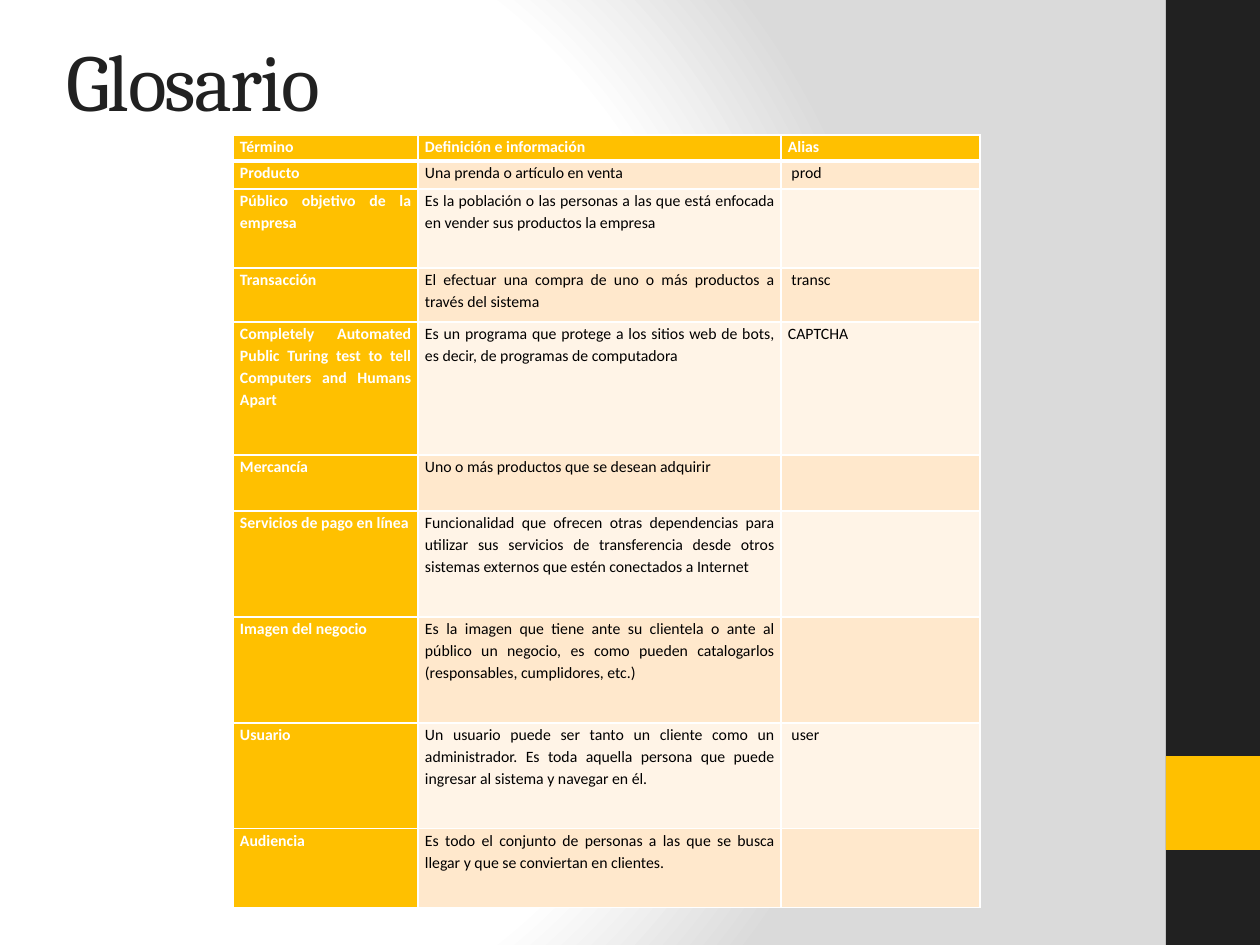
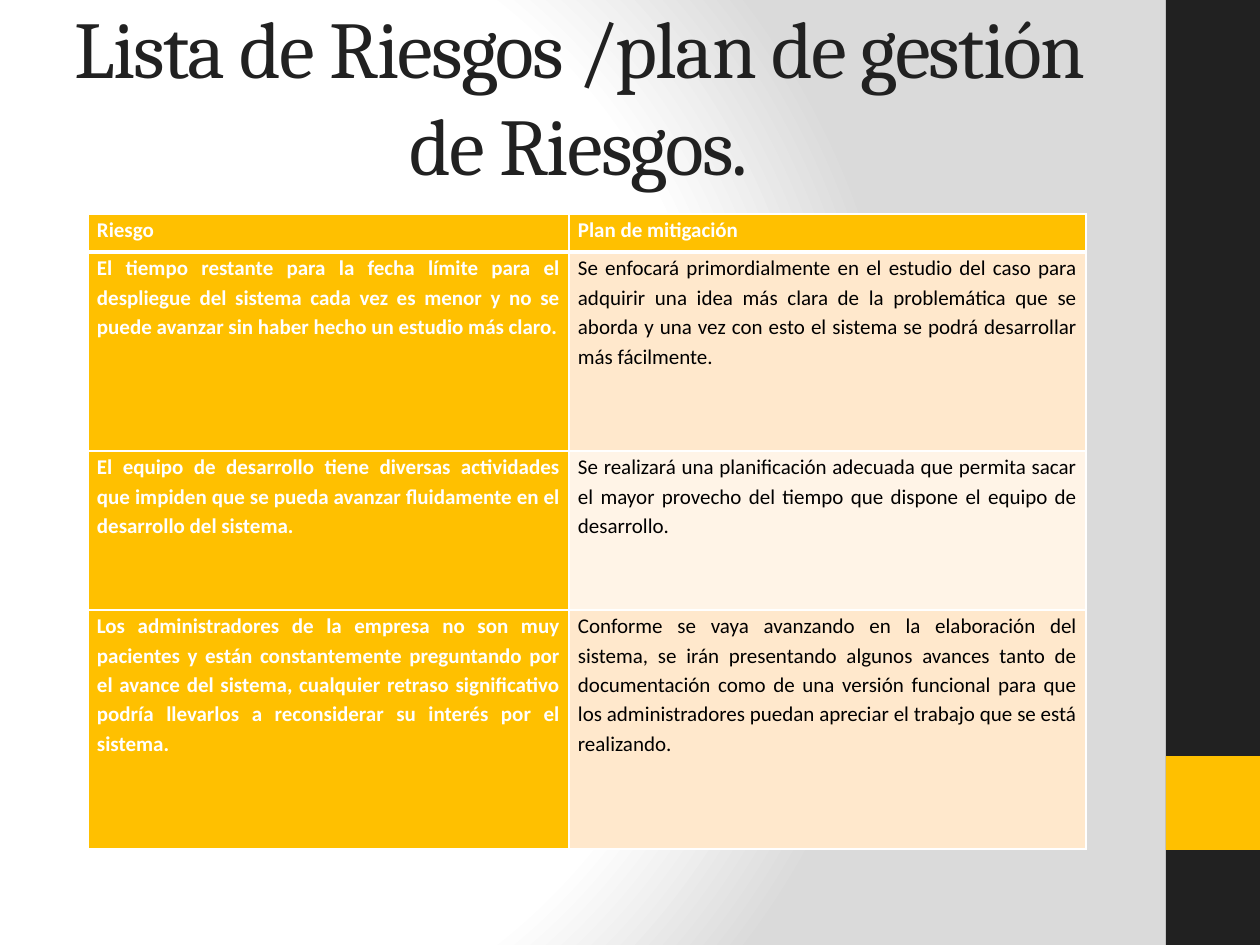
from dataclasses import dataclass

from lxml import etree
from pptx import Presentation
from pptx.dml.color import RGBColor
from pptx.enum.shapes import MSO_SHAPE
from pptx.enum.text import MSO_ANCHOR, PP_ALIGN
from pptx.oxml import parse_xml
from pptx.oxml.ns import nsdecls, qn
from pptx.slide import Slide
from pptx.util import Emu, Pt

RECT = MSO_SHAPE.RECTANGLE
MIDDLE = MSO_ANCHOR.MIDDLE
LEFT, CENTER, JUSTIFY = PP_ALIGN.LEFT, PP_ALIGN.CENTER, PP_ALIGN.JUSTIFY

SCALE = 914400 / 126
WIDE, HIGH = 1260, 945
COLORS = {
    "white": "FFFFFF", "black": "000000", "dark": "212121", "gold": "FFC000",
    "odd": "FFE8CC", "even": "FFF4E7", "mist": "DADADA",
}


@dataclass
class Band:
    top: int
    high: int
    color: str


@dataclass
class Grid:
    left: int
    top: int
    cols: list[int]
    rows: list[int]
    size: int
    inset: int
    cells: list[tuple[str, ...]]


@dataclass
class Page:
    title: str
    top: int
    align: PP_ALIGN
    grid: Grid


BANDS = [Band(0, HIGH, "dark"), Band(756, 94, "gold")]

PAGES = [
    Page("Glosario", 0, LEFT, Grid(
        233, 135, [185, 363, 199],
        [26, 28, 79, 54, 133, 56, 106, 106, 106, 79], 9, 7, [
            ("Término", "Definición e información", "Alias"),
            ("Producto", "Una prenda o artículo en venta", "\u00a0prod"),
            ("Público objetivo de la empresa",
             "Es la población o las personas a las que está enfocada en "
             "vender sus productos la empresa", ""),
            ("Transacción",
             "El efectuar una compra de uno o más productos a través del "
             "sistema", "\u00a0transc"),
            ("Completely Automated Public Turing test to tell Computers and "
             "Humans Apart",
             "Es un programa que protege a los sitios web de bots, es decir, "
             "de programas de computadora", "CAPTCHA"),
            ("Mercancía", "Uno o más productos que se desean adquirir", ""),
            ("Servicios de pago en línea",
             "Funcionalidad que ofrecen otras dependencias para utilizar sus "
             "servicios de transferencia desde otros sistemas externos que "
             "estén conectados a Internet", ""),
            ("Imagen del negocio",
             "Es la imagen que tiene ante su clientela o ante al público un "
             "negocio, es como pueden catalogarlos (responsables, "
             "cumplidores, etc.)", ""),
            ("Usuario",
             "Un usuario puede ser tanto un cliente como un administrador. "
             "Es toda aquella persona que puede ingresar al sistema y "
             "navegar en él.", "\u00a0user"),
            ("Audiencia",
             "Es todo el conjunto de personas a las que se busca llegar y "
             "que se conviertan en clientes.", ""),
        ])),
    Page("Lista de Riesgos /plan de gestión de Riesgos.", 16, CENTER, Grid(
        88, 214, [481, 517], [38, 199, 159, 239], 12, 9, [
            ("Riesgo", "Plan de mitigación"),
            ("El tiempo restante para la fecha límite para el despliegue del "
             "sistema cada vez es menor y no se puede avanzar sin haber "
             "hecho un estudio más claro.",
             "Se enfocará primordialmente en el estudio del caso para "
             "adquirir una idea más clara de la problemática que se aborda y "
             "una vez con esto el sistema se podrá desarrollar más "
             "fácilmente."),
            ("El equipo de desarrollo tiene diversas actividades que impiden "
             "que se pueda avanzar fluidamente en el desarrollo del sistema.",
             "Se realizará una planificación adecuada que permita sacar el "
             "mayor provecho del tiempo que dispone el equipo de "
             "desarrollo."),
            ("Los administradores de la empresa no son muy pacientes y están "
             "constantemente preguntando por el avance del sistema, "
             "cualquier retraso significativo podría llevarlos a "
             "reconsiderar su interés por el sistema.",
             "Conforme se vaya avanzando en la elaboración del sistema, se "
             "irán presentando algunos avances tanto de documentación como "
             "de una versión funcional para que los administradores puedan "
             "apreciar el trabajo que se está realizando."),
        ])),
]


def px(length: int) -> Emu:
    return Emu(round(length * SCALE))


def rgb(name: str) -> RGBColor:
    return RGBColor.from_string(COLORS[name])


def write(frame, text: str, *, font: str, size: int, color: str,
          bold: bool = False, align: PP_ALIGN = LEFT,
          lines: float = 1.0, track: int = 0) -> None:
    para = frame.paragraphs[0]
    para.alignment = align
    para.line_spacing = lines
    run = para.add_run()
    run.text = text
    run.font.name = font
    run.font.size = Pt(size)
    run.font.bold = bold
    run.font.color.rgb = rgb(color)
    if track:
        run.font._element.set("spc", str(track * 100))


def paint(slide: Slide) -> None:
    """Radial white to grey background."""
    slide.background.fill.solid()
    back = slide.element.find(".//" + qn("p:bgPr"))
    stops = "".join(
        f'<a:gs pos="{pos * 1000}"><a:srgbClr val="{COLORS[name]}"/></a:gs>'
        for pos, name in [(0, "white"), (75, "white"), (100, "mist")])
    back.replace(back[0], parse_xml(
        f'<a:gradFill {nsdecls("a")} rotWithShape="1"><a:gsLst>{stops}'
        '</a:gsLst><a:path path="circle"><a:fillToRect l="20000" t="50000" '
        'r="100000" b="50000"/></a:path></a:gradFill>'))


def draw_band(slide: Slide, band: Band) -> None:
    shape = slide.shapes.add_shape(
        RECT, px(1166), px(band.top), px(WIDE - 1166), px(band.high))
    shape.shadow.inherit = False
    shape.fill.solid()
    shape.fill.fore_color.rgb = rgb(band.color)
    shape.line.fill.background()


def draw_title(slide: Slide, page: Page) -> None:
    box = slide.shapes.add_textbox(px(54), px(page.top), px(1050), px(158))
    frame = box.text_frame
    frame.word_wrap = True
    frame.vertical_anchor = MIDDLE
    write(frame, page.title, font="Cambria", size=46, color="dark",
          align=page.align, track=-1)


def edge(cell, row: int) -> None:
    """White cell borders, thick between the header and the body."""
    props = cell._tc.get_or_add_tcPr()
    widths = {"L": 1, "R": 1, "T": 3 if row == 1 else 1,
              "B": 3 if row == 0 else 1}
    for spot, (side, width) in enumerate(widths.items()):
        line = etree.Element(qn("a:ln" + side), w=str(Pt(width)))
        fill = etree.SubElement(line, qn("a:solidFill"))
        etree.SubElement(fill, qn("a:srgbClr"), val=COLORS["white"])
        props.insert(spot, line)


def draw_grid(slide: Slide, grid: Grid) -> None:
    table = slide.shapes.add_table(
        len(grid.rows), len(grid.cols), px(grid.left), px(grid.top),
        px(sum(grid.cols)), px(sum(grid.rows))).table
    table.horz_banding = False
    for col, width in zip(table.columns, grid.cols):
        col.width = px(width)
    for row, high in zip(table.rows, grid.rows):
        row.height = px(high)
    for row, texts in enumerate(grid.cells):
        for col, text in enumerate(texts):
            cell = table.cell(row, col)
            head = row == 0 or col == 0
            cell.margin_left = cell.margin_right = px(grid.inset)
            cell.margin_top = cell.margin_bottom = 0
            cell.fill.solid()
            cell.fill.fore_color.rgb = rgb(
                "gold" if head else "odd" if row % 2 else "even")
            edge(cell, row)
            if text:
                write(cell.text_frame, text, font="Calibri", size=grid.size,
                      color="white" if head else "black", bold=head,
                      align=JUSTIFY, lines=1.15)


deck = Presentation()
deck.slide_width, deck.slide_height = px(WIDE), px(HIGH)
for page in PAGES:
    slide = deck.slides.add_slide(deck.slide_layouts[6])
    paint(slide)
    for band in BANDS:
        draw_band(slide, band)
    draw_title(slide, page)
    draw_grid(slide, page.grid)
deck.save("out.pptx")
